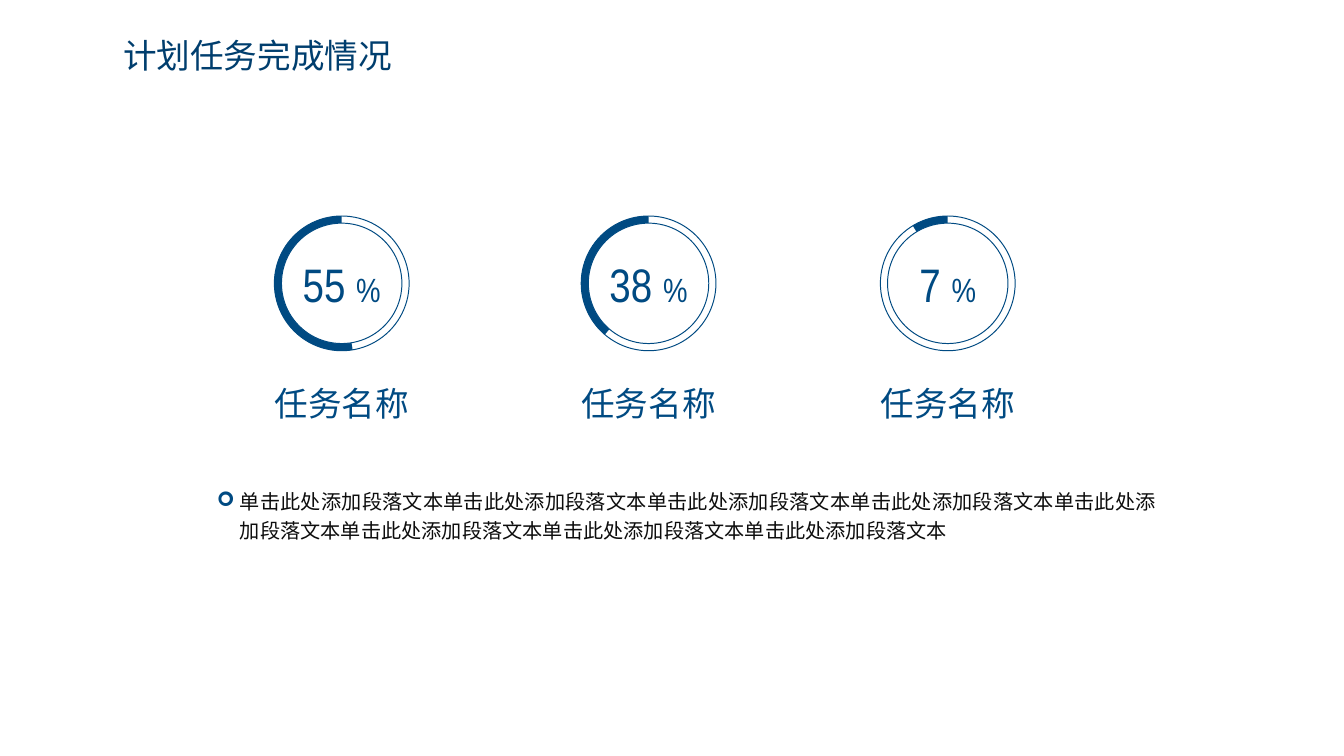
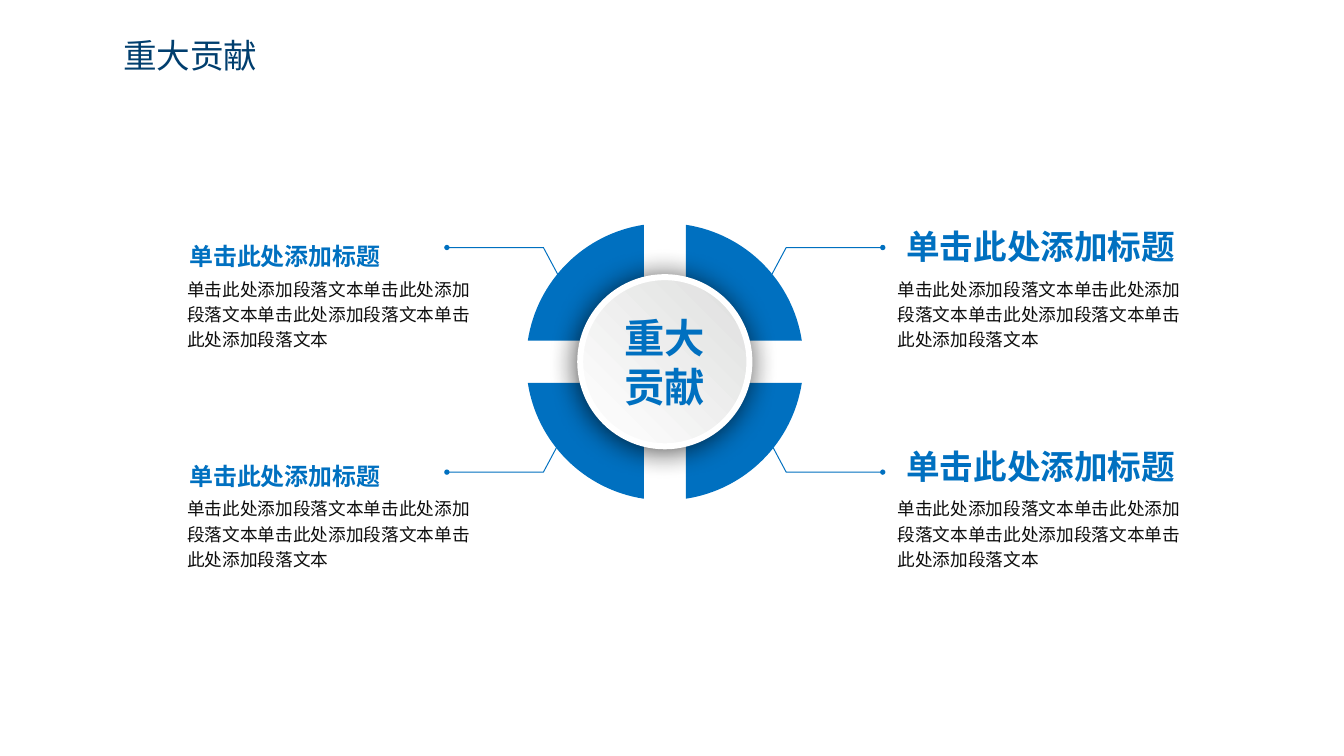
from dataclasses import dataclass
from math import asin, cos, pi, sin, tan

from lxml import etree
from pptx import Presentation
from pptx.dml.color import RGBColor
from pptx.enum.shapes import MSO_SHAPE
from pptx.enum.text import MSO_ANCHOR, MSO_AUTO_SIZE, PP_ALIGN
from pptx.oxml.ns import nsdecls, qn
from pptx.util import Inches, Pt

OVAL, PIE = MSO_SHAPE.OVAL, MSO_SHAPE.PIE
TOP, MIDDLE, BOTTOM = MSO_ANCHOR.TOP, MSO_ANCHOR.MIDDLE, MSO_ANCHOR.BOTTOM
LEFT, CENTER, JUSTIFY = PP_ALIGN.LEFT, PP_ALIGN.CENTER, PP_ALIGN.JUSTIFY
GROW = MSO_AUTO_SIZE.SHAPE_TO_FIT_TEXT

NAVY = RGBColor(0x00, 0x4A, 0x82)
BLUE = RGBColor(0x00, 0x70, 0xC0)
INK = RGBColor(0x0D, 0x0D, 0x0D)
WHITE = RGBColor(0xFF, 0xFF, 0xFF)
TITLE_STOPS = ((0, RGBColor(0x00, 0x2C, 0x4D)), (50, RGBColor(0x00, 0x3E, 0x6E)), (100, NAVY))
HUB_STOPS = ((18, RGBColor(0xFA, 0xFA, 0xFA)), (100, RGBColor(0xDD, 0xDE, 0xDD)))

CJK = "Noto Sans CJK SC"
NARROW = "Arial Narrow"
HEADING_PT = 25.3
PHRASE = "单击此处添加段落文本"
NO_INSETS = (0, 0, 0, 0)


@dataclass(frozen=True)
class Run:
    text: str
    size: float
    color: RGBColor
    font: str = CJK
    bold: bool = False


@dataclass(frozen=True)
class Ring:
    left: float
    percent: str
    start_deg: float


@dataclass(frozen=True)
class Side:
    sign: int
    heading_x: float
    heading_w: float
    heading_h: float
    heading_pt: float
    body_x: float


@dataclass(frozen=True)
class Row:
    sign: int
    text_top: float
    line_y: float


RINGS = (Ring(2.87, "55", 80.69), Ring(6.08, "38", 130.5), Ring(9.21, "7", 238.77))
RING_OUTER, RING_INNER = 1.41, 1.26
RING_Y = 2.26 + RING_OUTER / 2
LABEL_W = 2.26

SIDES = (Side(-1, 1.98, 2.77, 0.46, 18, 1.83), Side(1, 9.48, 3.05, 0.42, HEADING_PT, 9.26))
ROWS = (Row(-1, 2.37, 2.59), Row(1, 4.67, 4.94))
HUB_SIZE = 1.77
WHEEL_X, WHEEL_Y = 6.07 + HUB_SIZE / 2, 2.9 + HUB_SIZE / 2
WHEEL_OUTER, WHEEL_INNER, WHEEL_HALF_GAP = 1.45, 0.89, 0.22
# Distance from the wheel's axis, and rise towards its middle
CALLOUT_BENDS = ((1.11, 0.3), (1.27, 0), (2.28, 0))


# Shared helpers
def gradient(stops, direction: str):
    gs = "".join(f'<a:gs pos="{pos * 1000}"><a:srgbClr val="{color}"/></a:gs>'
                 for pos, color in stops)
    return etree.fromstring(
        f'<a:gradFill {nsdecls("a")} rotWithShape="1"><a:gsLst>{gs}</a:gsLst>{direction}</a:gradFill>')


def add_run(p, run: Run):
    r = p.add_run()
    r.text = run.text
    r.font.size = Pt(run.size)
    r.font.bold = run.bold
    r.font.color.rgb = run.color
    r.font.name = run.font
    etree.SubElement(r.font._element, qn("a:ea")).set("typeface", run.font)


def fill_text(sp, runs, align=LEFT, anchor=TOP, insets=NO_INSETS, spacing=None):
    tf = sp.text_frame
    tf.word_wrap = True
    tf.vertical_anchor = anchor
    tf.margin_left, tf.margin_top, tf.margin_right, tf.margin_bottom = map(Inches, insets)
    p = tf.paragraphs[0]
    p.alignment = align
    if spacing:
        p.line_spacing = spacing
    for run in runs:
        add_run(p, run)


def add_text(s, x: float, y: float, w: float, h: float, runs, **style):
    sp = s.shapes.add_textbox(Inches(x), Inches(y), Inches(w), Inches(h))
    fill_text(sp, runs, **style)
    return sp


def paint(sp, fill=None, line=None, width: float = 0.75):
    sp.shadow.inherit = False
    if fill is None:
        sp.fill.background()
    else:
        sp.fill.solid()
        sp.fill.fore_color.rgb = fill
    if line is None:
        sp.line.fill.background()
    else:
        sp.line.color.rgb = line
        sp.line.width = Pt(width)


def add_round(s, kind, cx: float, cy: float, size: float, fill=None, line=None, width=0.75):
    sp = s.shapes.add_shape(kind, Inches(cx - size / 2), Inches(cy - size / 2),
                            Inches(size), Inches(size))
    paint(sp, fill, line, width)
    return sp


def add_outline(shapes, points, close: bool):
    emu = [(Inches(x), Inches(y)) for x, y in points]
    fb = shapes.build_freeform(*emu[0])
    fb.add_line_segments(emu[1:], close=close)
    return fb.convert_to_shape()


def new_slide(prs, title: str, title_w: float):
    s = prs.slides.add_slide(prs.slide_layouts[6])
    sp = add_text(s, 1.19, 0.32, title_w, 0.53, [Run(title, HEADING_PT, NAVY)],
                  insets=(0.1, 0.05, 0.1, 0.05))
    sp.text_frame.auto_size = GROW
    rpr = sp.text_frame.paragraphs[0].runs[0].font._element
    rpr.replace(rpr.find(qn("a:solidFill")),
                gradient(TITLE_STOPS, '<a:lin ang="8100000" scaled="0"/>'))
    return s


# Slide 1: progress rings
def draw_ring(s, ring: Ring):
    cx = ring.left + RING_OUTER / 2
    add_round(s, OVAL, cx, RING_Y, RING_OUTER, WHITE, NAVY)
    arc = add_round(s, PIE, cx, RING_Y, RING_OUTER, NAVY)
    # Pie angles are stored in 1/60000 degree, adjustments in 1/100000
    arc.adjustments[0] = ring.start_deg * 0.6
    arc.adjustments[1] = 270 * 0.6
    face = add_round(s, OVAL, cx, RING_Y, RING_INNER, WHITE, NAVY)
    fill_text(face, [Run(ring.percent + " ", 35.4, NAVY, NARROW),
                     Run("%", HEADING_PT, NAVY, NARROW)], align=CENTER, anchor=MIDDLE)
    add_text(s, cx - LABEL_W / 2, 3.96, LABEL_W, 0.52,
             [Run("任务名称", HEADING_PT, NAVY)], align=CENTER, anchor=MIDDLE)


def add_bullet(p, char: str, color: RGBColor, indent: float):
    ppr = p._p.get_or_add_pPr()
    ppr.set("marL", str(Inches(indent)))
    ppr.set("indent", str(-Inches(indent)))
    clr = etree.SubElement(ppr, qn("a:buClr"))
    etree.SubElement(clr, qn("a:srgbClr")).set("val", str(color))
    etree.SubElement(ppr, qn("a:buFont")).set("typeface", "Wingdings")
    etree.SubElement(ppr, qn("a:buChar")).set("char", char)


def build_progress(prs):
    s = new_slide(prs, "计划任务完成情况", 4.44)
    for ring in RINGS:
        draw_ring(s, ring)
    sp = add_text(s, 2.15, 4.95, 10.07, 1, [Run(PHRASE * 8, 15.2, INK)],
                  align=JUSTIFY, insets=(0.12,) * 4, spacing=1.2)
    add_bullet(sp.text_frame.paragraphs[0], "➢", NAVY, 0.24)


# Slide 2: wheel with four callouts
def draw_callout_line(s, side: Side, row: Row):
    sp = add_outline(s.shapes, [(WHEEL_X + side.sign * dx, row.line_y - row.sign * dy)
                                for dx, dy in CALLOUT_BENDS], close=False)
    paint(sp, line=BLUE)
    etree.SubElement(sp.line._get_or_add_ln(), qn("a:tailEnd"), type="oval", w="sm", len="sm")


def arc_controls(radius: float):
    """Start, two control points and end of a Bezier arc between the gaps."""
    a = asin(WHEEL_HALF_GAP / radius)
    b = pi / 2 - a
    k = 4 / 3 * tan((b - a) / 4)
    return [(radius * x, radius * y) for x, y in (
        (cos(a), sin(a)), (cos(a) - k * sin(a), sin(a) + k * cos(a)),
        (cos(b) + k * sin(b), sin(b) - k * cos(b)), (cos(b), sin(b)))]


def draw_quadrant(shapes, sx: int, sy: int):
    edge = arc_controls(WHEEL_OUTER) + arc_controls(WHEEL_INNER)[::-1]
    sp = add_outline(shapes, [(WHEEL_X + sx * x, WHEEL_Y + sy * y) for x, y in edge], close=True)
    paint(sp, BLUE)
    # Turn each run of three segments along an arc into one curve
    segments = list(sp._element.iter(qn("a:lnTo")))
    for first in (0, 4):
        curve = etree.Element(qn("a:cubicBezTo"))
        segments[first].addprevious(curve)
        for segment in segments[first:first + 3]:
            curve.append(segment[0])
            segment.getparent().remove(segment)


def draw_hub(s):
    sp = add_round(s, OVAL, WHEEL_X, WHEEL_Y, HUB_SIZE, line=WHITE, width=4.5)
    sppr = sp._element.spPr
    sppr.replace(sppr.find(qn("a:noFill")), gradient(
        HUB_STOPS, '<a:path path="circle"><a:fillToRect t="100000" r="100000"/></a:path>'))
    shadow = etree.SubElement(sppr.find(qn("a:effectLst")), qn("a:outerShdw"),
                              blurRad=str(Pt(22)), dist=str(Pt(2)), dir="8100000",
                              algn="ctr", rotWithShape="0")
    clr = etree.SubElement(shadow, qn("a:srgbClr"), val="000000")
    etree.SubElement(clr, qn("a:alpha"), val="71000")
    fill_text(sp, [Run("重大贡献", 30.4, BLUE, bold=True)], align=CENTER, anchor=MIDDLE)


def draw_callout_text(s, side: Side, top: float):
    add_text(s, side.heading_x, top, side.heading_w, side.heading_h,
             [Run("单击此处添加标题", side.heading_pt, BLUE, bold=True)], anchor=BOTTOM)
    body = add_text(s, side.body_x, top + 0.44, 3.37, 0.94, [Run(PHRASE * 4, 13.3, INK)],
                    insets=(0.13, 0.06, 0.13, 0.06), spacing=1.2)
    body.text_frame.auto_size = GROW


def build_contribution(prs):
    s = new_slide(prs, "重大贡献", 3.41)
    corners = [(side, row) for row in ROWS for side in SIDES]
    for side, row in corners:
        draw_callout_line(s, side, row)
    wheel = s.shapes.add_group_shape()
    for side, row in corners:
        draw_quadrant(wheel.shapes, side.sign, row.sign)
    draw_hub(s)
    for side, row in corners:
        draw_callout_text(s, side, row.text_top)


def main():
    prs = Presentation()
    prs.slide_width, prs.slide_height = Inches(14.06), Inches(7.91)
    build_progress(prs)
    build_contribution(prs)
    prs.save("out.pptx")


if __name__ == "__main__":
    main()
